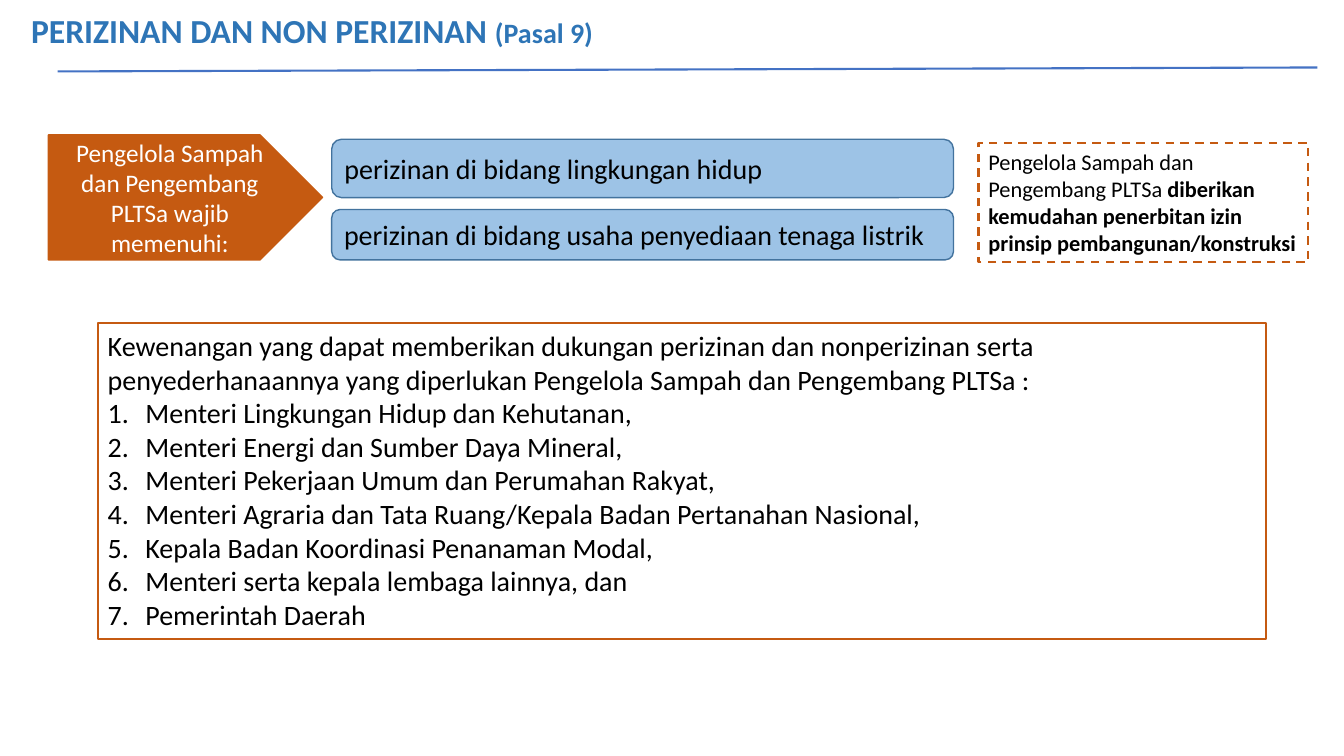
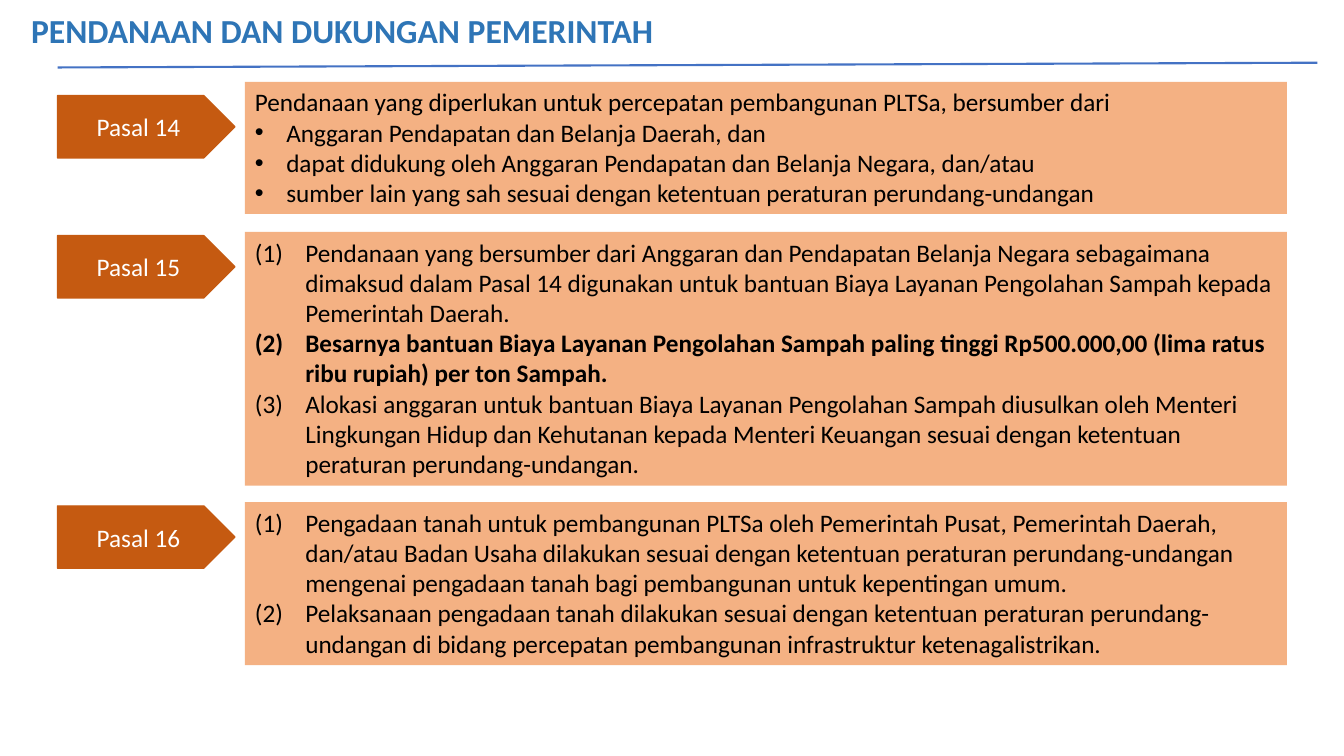
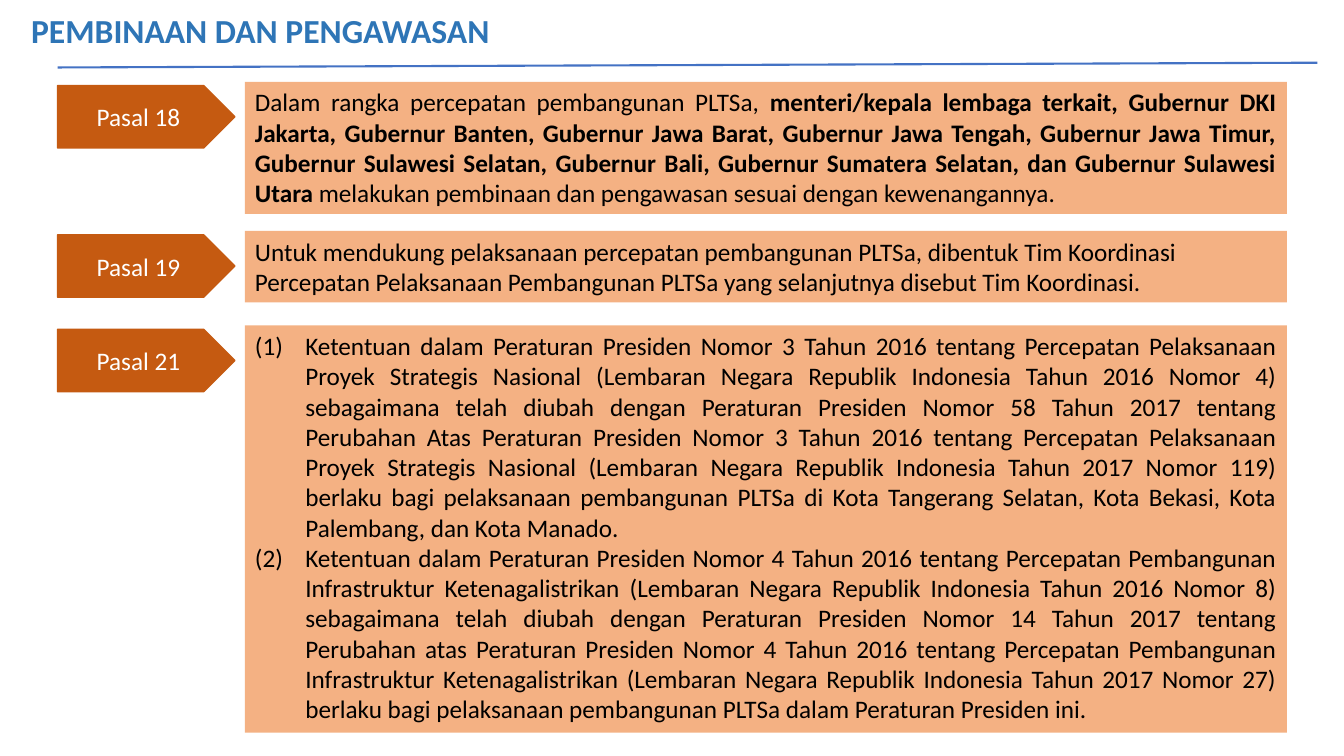
from pptx import Presentation
from pptx import util as u
from pptx.dml.color import RGBColor
from pptx.enum import dml, shapes, text
from pptx.oxml.xmlchemy import OxmlElement


class Theme:
    font = "Calibri"
    blue = RGBColor.from_string("2E75B6")
    rule = RGBColor.from_string("4472C4")
    rust = RGBColor.from_string("C55A11")
    peach = RGBColor.from_string("F4B183")
    sky = RGBColor.from_string("9DC3E6")
    edge = RGBColor.from_string("43739E")
    black = RGBColor.from_string("000000")
    white = RGBColor.from_string("FFFFFF")
    head = u.Pt(24)
    large = u.Pt(20)
    base = u.Pt(18)
    small = u.Pt(16)
    thin = u.Pt(1)
    thick = u.Pt(1.5)
    marks = {
        "": (0, "buNone", {}),
        "•": (0.79, "buChar", {"char": "•"}),
        "1.": (0.95, "buAutoNum", {"type": "arabicPeriod"}),
        "(1)": (1.27, "buAutoNum", {"type": "arabicParenBoth"}),
    }


LEFT = text.PP_ALIGN.LEFT
MID = text.PP_ALIGN.CENTER
FULL = text.PP_ALIGN.JUSTIFY
TOP = text.MSO_ANCHOR.TOP
CENTRE = text.MSO_ANCHOR.MIDDLE
PLATE = shapes.MSO_SHAPE.PENTAGON
ROUND = shapes.MSO_SHAPE.ROUNDED_RECTANGLE
RECT = shapes.MSO_SHAPE.RECTANGLE


def write(shape, paras, size, color=Theme.black, align=LEFT, anchor=TOP):
    frame = shape.text_frame
    frame.word_wrap = True
    frame.auto_size = text.MSO_AUTO_SIZE.NONE
    frame.vertical_anchor = anchor
    for row, (mark, *parts) in enumerate(paras):
        para = frame.add_paragraph() if row else frame.paragraphs[0]
        para.alignment = align
        para.space_before = para.space_after = u.Pt(0)
        indent, tag, attrs = Theme.marks[mark]
        props = para._p.get_or_add_pPr()
        props.set("marL", str(u.Cm(indent)))
        props.set("indent", str(-u.Cm(indent)))
        if mark:
            face = OxmlElement("a:buFont")
            face.set("typeface", "Arial" if mark == "•" else Theme.font)
            props.append(face)
        bullet = OxmlElement("a:" + tag)
        for key, value in attrs.items():
            bullet.set(key, value)
        props.append(bullet)
        for order, part in enumerate(parts):
            if part:
                run = para.add_run()
                run.text = part
                run.font.name = Theme.font
                run.font.size = size
                run.font.bold = order % 2 == 1
                run.font.color.rgb = color


def place(shape, box, fill=None, line=None, width=Theme.thin):
    shape.left, shape.top, shape.width, shape.height = map(u.Cm, box)
    if fill is None:
        shape.fill.background()
    else:
        shape.fill.solid()
        shape.fill.fore_color.rgb = fill
    if line is None:
        shape.line.fill.background()
    else:
        shape.line.color.rgb = line
        shape.line.width = width
    if not shape.is_placeholder:
        shape.shadow.inherit = False
    return shape


deck = Presentation()
deck.slide_width, deck.slide_height = u.Cm(33.87), u.Cm(19.05)

pages = [
    (1, ("PERIZINAN DAN NON PERIZINAN ", "", "(Pasal 9)"), 1.8, 1.7),
    (4, ("PENDANAAN DAN DUKUNGAN PEMERINTAH",), 1.7, 1.58),
    (4, ("PEMBINAAN DAN PENGAWASAN",), 1.7, 1.58),
]
slides = []
for layout, title, start, end in pages:
    slide = deck.slides.add_slide(deck.slide_layouts[layout])
    head = place(slide.shapes.title, (0.53, 0.13, 33.32, 2.46))
    write(head, [("", "", *title)], Theme.head, Theme.blue)
    for run in head.text_frame.paragraphs[0].runs[1:]:
        run.font.size = Theme.large
    rule = slide.shapes.add_connector(
        shapes.MSO_CONNECTOR.STRAIGHT,
        u.Cm(1.45), u.Cm(start), u.Cm(33.2), u.Cm(end))
    rule.line.color.rgb = Theme.rule
    rule.line.width = Theme.thick
    rule._element.spPr.append(OxmlElement("a:effectLst"))
    slides.append(slide)

permit, *articles = slides

box = (1.22, 3.4, 6.91, 3.15)
duty = place(permit.shapes.add_shape(PLATE, *map(u.Cm, box)), box,
             Theme.rust, Theme.rust)
write(duty, [("", "Pengelola Sampah dan Pengembang PLTSa wajib memenuhi:")],
      Theme.base, Theme.white, MID, CENTRE)

for top, height, label in [
    (3.51, 1.47, "perizinan di bidang lingkungan hidup"),
    (5.28, 1.27, "perizinan di bidang usaha penyediaan tenaga listrik"),
]:
    box = (8.36, top, 15.67, height)
    field = place(permit.shapes.add_shape(ROUND, *map(u.Cm, box)), box,
                  Theme.sky, Theme.edge)
    write(field, [("", label)], Theme.large, anchor=CENTRE)

box = (24.66, 3.61, 8.31, 3)
ease = place(permit.shapes.add_shape(RECT, *map(u.Cm, box)), box,
             line=Theme.rust, width=Theme.thick)
ease.line.dash_style = dml.MSO_LINE.DASH
write(ease, [("", "Pengelola Sampah dan Pengembang PLTSa ",
              "diberikan kemudahan penerbitan izin prinsip "
              "pembangunan/konstruksi")], Theme.small)

powers = place(permit.placeholders[1], (2.46, 8.15, 29.44, 7.95),
               line=Theme.rust, width=Theme.thick)
bodies = [
    "Menteri Lingkungan Hidup dan Kehutanan,",
    "Menteri Energi dan Sumber Daya Mineral,",
    "Menteri Pekerjaan Umum dan Perumahan Rakyat,",
    "Menteri Agraria dan Tata Ruang/Kepala Badan Pertanahan Nasional,",
    "Kepala Badan Koordinasi Penanaman Modal,",
    "Menteri serta kepala lembaga lainnya, dan",
    "Pemerintah Daerah",
]
write(powers, [
    ("", "Kewenangan yang dapat memberikan dukungan perizinan dan nonperizinan "
         "serta penyederhanaannya yang diperlukan Pengelola Sampah dan "
         "Pengembang PLTSa :"),
    *[("1.", body) for body in bodies],
], Theme.large)

funding = [
    ("Pasal 14", 2.06, 3.33, 0.35, LEFT, [
        ("", "Pendanaan yang diperlukan untuk percepatan pembangunan PLTSa, "
             "bersumber dari"),
        ("•", "Anggaran Pendapatan dan Belanja Daerah, dan"),
        ("•", "dapat didukung oleh Anggaran Pendapatan dan Belanja Negara, "
              "dan/atau"),
        ("•", "sumber lain yang sah sesuai dengan ketentuan peraturan "
              "perundang-undangan"),
    ]),
    ("Pasal 15", 5.84, 6.4, 0.1, LEFT, [
        ("(1)", "Pendanaan yang bersumber dari Anggaran dan Pendapatan Belanja "
                "Negara sebagaimana dimaksud dalam Pasal 14 digunakan untuk "
                "bantuan Biaya Layanan Pengolahan Sampah kepada Pemerintah "
                "Daerah."),
        ("(1)", "", "Besarnya bantuan Biaya Layanan Pengolahan Sampah paling "
                    "tinggi Rp500.000,00 (lima ratus ribu rupiah) per ton "
                    "Sampah."),
        ("(1)", "Alokasi anggaran untuk bantuan Biaya Layanan Pengolahan Sampah "
                "diusulkan oleh Menteri Lingkungan Hidup dan Kehutanan kepada "
                "Menteri Keuangan sesuai dengan ketentuan peraturan "
                "perundang-undangan."),
    ]),
    ("Pasal 16", 12.65, 4.11, 0.1, LEFT, [
        ("(1)", "Pengadaan tanah untuk pembangunan PLTSa oleh Pemerintah Pusat, "
                "Pemerintah Daerah, dan/atau Badan Usaha dilakukan sesuai dengan "
                "ketentuan peraturan perundang-undangan mengenai pengadaan tanah "
                "bagi pembangunan untuk kepentingan umum."),
        ("(1)", "Pelaksanaan pengadaan tanah dilakukan sesuai dengan ketentuan "
                "peraturan perundang-undangan di bidang percepatan pembangunan "
                "infrastruktur ketenagalistrikan."),
    ]),
]

control = [
    ("Pasal 18", 2.06, 3.33, 0.1, FULL, [
        ("", "Dalam rangka percepatan pembangunan PLTSa, ",
         "menteri/kepala lembaga terkait, Gubernur DKI Jakarta, Gubernur Banten, "
         "Gubernur Jawa Barat, Gubernur Jawa Tengah, Gubernur Jawa Timur, "
         "Gubernur Sulawesi Selatan, Gubernur Bali, Gubernur Sumatera Selatan, "
         "dan Gubernur Sulawesi Utara",
         " melakukan pembinaan dan pengawasan sesuai dengan kewenangannya."),
    ]),
    ("Pasal 19", 5.82, 1.8, 0.1, LEFT, [
        ("", "Untuk mendukung pelaksanaan percepatan pembangunan PLTSa, dibentuk "
             "Tim Koordinasi Percepatan Pelaksanaan Pembangunan PLTSa yang "
             "selanjutnya disebut Tim Koordinasi."),
    ]),
    ("Pasal 21", 8.2, 10.26, 0.1, FULL, [
        ("(1)", "Ketentuan dalam Peraturan Presiden Nomor 3 Tahun 2016 tentang "
                "Percepatan Pelaksanaan Proyek Strategis Nasional (Lembaran "
                "Negara Republik Indonesia Tahun 2016 Nomor 4) sebagaimana telah "
                "diubah dengan Peraturan Presiden Nomor 58 Tahun 2017 tentang "
                "Perubahan Atas Peraturan Presiden Nomor 3 Tahun 2016 tentang "
                "Percepatan Pelaksanaan Proyek Strategis Nasional (Lembaran "
                "Negara Republik Indonesia Tahun 2017 Nomor 119) berlaku bagi "
                "pelaksanaan pembangunan PLTSa di Kota Tangerang Selatan, Kota "
                "Bekasi, Kota Palembang, dan Kota Manado."),
        ("(1)", "Ketentuan dalam Peraturan Presiden Nomor 4 Tahun 2016 tentang "
                "Percepatan Pembangunan Infrastruktur Ketenagalistrikan (Lembaran "
                "Negara Republik Indonesia Tahun 2016 Nomor 8) sebagaimana telah "
                "diubah dengan Peraturan Presiden Nomor 14 Tahun 2017 tentang "
                "Perubahan atas Peraturan Presiden Nomor 4 Tahun 2016 tentang "
                "Percepatan Pembangunan Infrastruktur Ketenagalistrikan (Lembaran "
                "Negara Republik Indonesia Tahun 2017 Nomor 27) berlaku bagi "
                "pelaksanaan pembangunan PLTSa dalam Peraturan Presiden ini."),
    ]),
]

for slide, rows in zip(articles, (funding, control)):
    title, *panels, spare = slide.placeholders
    spare._element.getparent().remove(spare._element)
    for panel, (label, top, height, drop, align, paras) in zip(panels, rows):
        box = (1.45, top + drop, 4.47, 1.57)
        tag = place(slide.shapes.add_shape(PLATE, *map(u.Cm, box)), box,
                    Theme.rust, Theme.rust)
        write(tag, [("", label)], Theme.base, Theme.white, MID, CENTRE)
        place(panel, (6.17, top, 26.26, height), Theme.peach)
        write(panel, paras, Theme.base, align=align)

deck.save("out.pptx")
